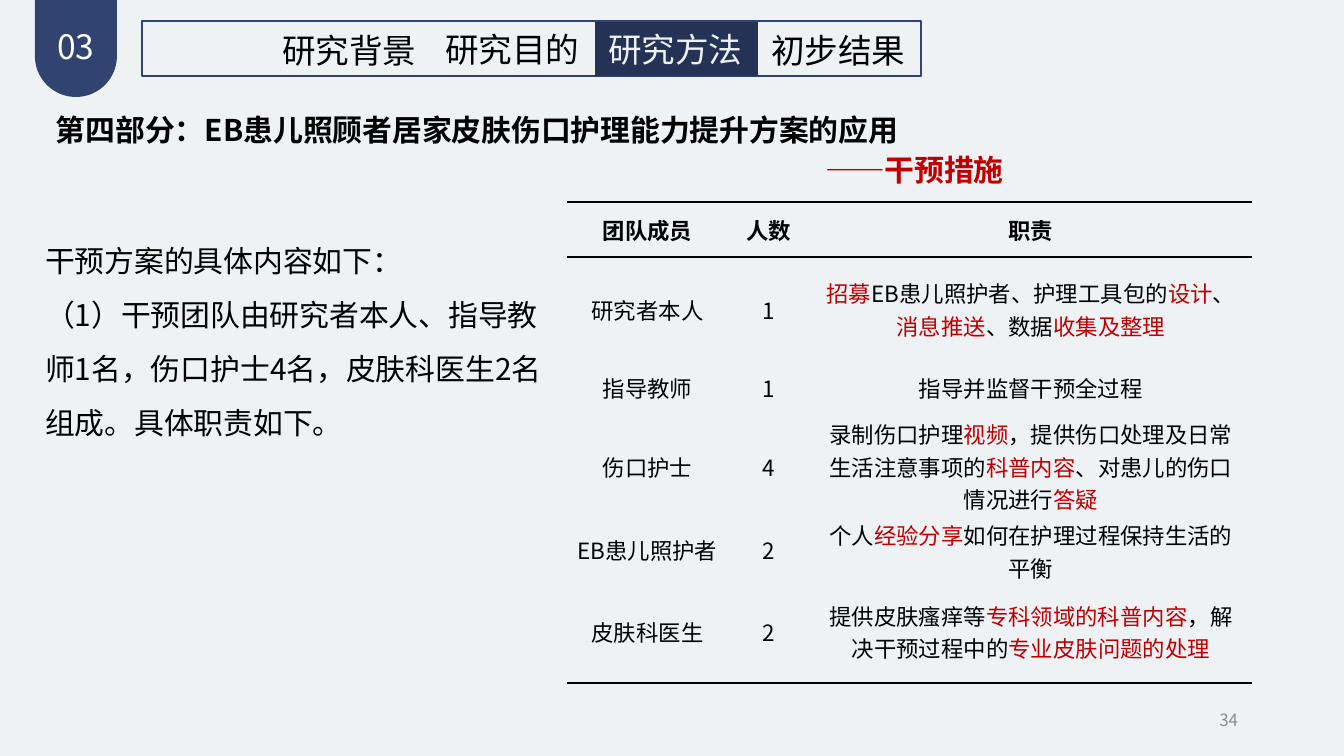
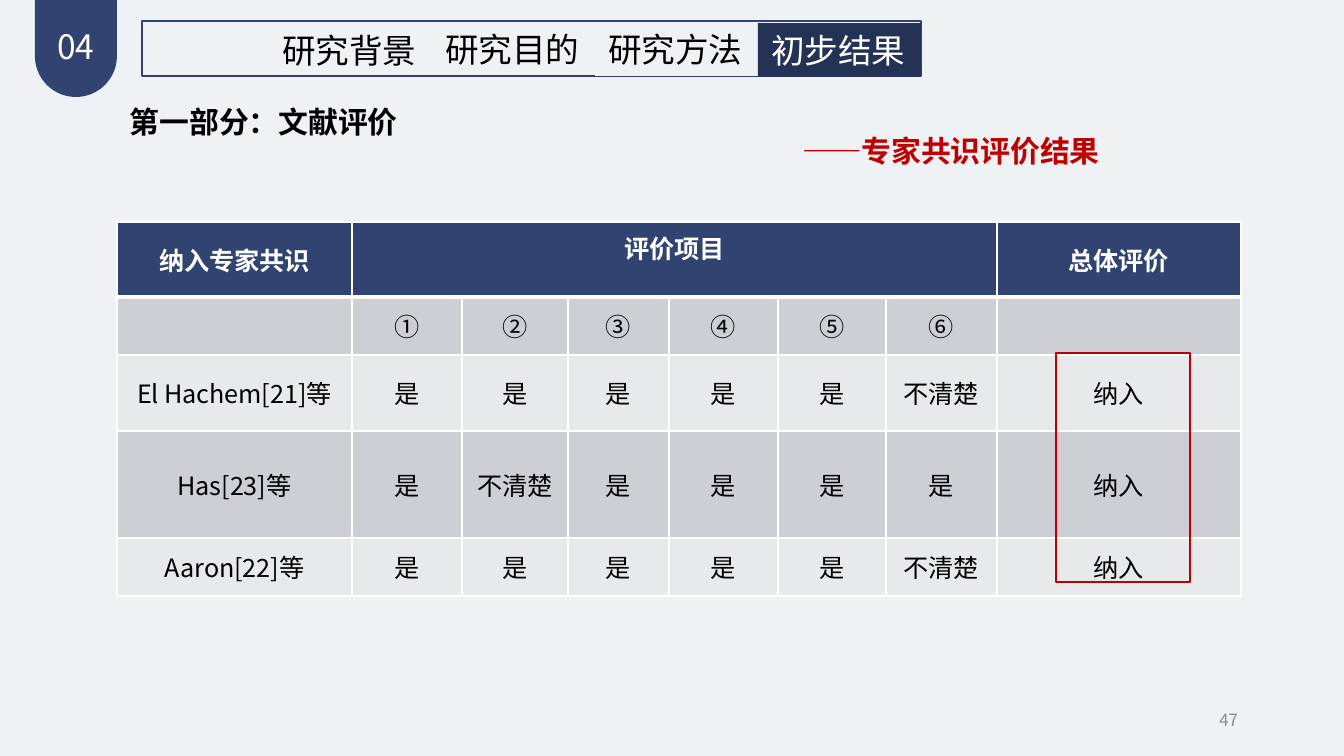
"""Build two thesis slides: an intervention team table and an appraisal table."""
import math

import pptx
import pptx.dml.color
import pptx.enum.shapes
import pptx.enum.text
import pptx.oxml.ns
import pptx.util
from lxml import etree

RGB = pptx.dml.color.RGBColor
ALIGN = pptx.enum.text.PP_ALIGN
ANCHOR = pptx.enum.text.MSO_ANCHOR
RECTANGLE = pptx.enum.shapes.MSO_SHAPE.RECTANGLE
qn = pptx.oxml.ns.qn

FONT = "Noto Sans CJK SC"
PAPER = RGB(0xEE, 0xF2, 0xF5)
NAVY = RGB(0x30, 0x43, 0x71)
DEEP_NAVY = RGB(0x24, 0x32, 0x55)
RED = RGB(0xC0, 0x00, 0x00)
BLACK = RGB(0x00, 0x00, 0x00)
RULE = RGB(0x00, 0x00, 0x08)
WHITE = RGB(0xFF, 0xFF, 0xFF)
GRAY = RGB(0x8C, 0x8C, 0x8C)
BAND_DARK = RGB(0xCD, 0xCF, 0xD5)
BAND_LIGHT = RGB(0xE8, 0xE9, 0xEB)

PX = 914400 / 134.4
SIDE, TOP = 13, 7
NO_STYLE = "{2D5ABB26-0587-4C30-8999-92F81FD0307C}"

TABS = ["研究背景", "研究目的", "研究方法", "初步结果"]
TAB_LEFT, TAB_WIDTH, TAB_HEIGHT = 269, 163, 54
TAB_TOPS = [23, 22, 22, 23]
FRAME = (142, 21, 779, 55)

TEAM_SLIDE = {
    "number": "03", "page": "34", "active": 2, "active_color": PAPER, "covered": [0],
    "title": ("第四部分：EB患儿照顾者居家皮肤伤口护理能力提升方案的应用", (43, 105, 935, 86)),
    "subtitle": ("——干预措施", (812, 145, 504, 50)),
}
BODY = [
    "干预方案的具体内容如下：",
    "（1）干预团队由研究者本人、指导教师1名，伤口护士4名，皮肤科医生2名组成。具体职责如下。",
]
BODY_BOX = (32, 181, 535, 410)
TEAM_ROWS = [
    ["团队成员", "人数", "职责"],
    ["研究者本人", "1", "|招募|EB患儿照护者、护理工具包的|设计|、|消息推送|、数据|收集及整理"],
    ["指导教师", "1", "指导并监督干预全过程"],
    ["伤口护士", "4", "录制伤口护理|视频|，提供伤口处理及日常生活注意事项的|科普内容|、对患儿的伤口情况进行|答疑"],
    ["EB患儿照护者", "2", "个人|经验分享|如何在护理过程保持生活的平衡"],
    ["皮肤科医生", "2", "提供皮肤瘙痒等|专科领域的科普内容|，解决干预过程中的|专业皮肤问题的处理"],
]
TEAM_GRID = {"corner": (567, 202), "widths": [161, 82, 442], "heights": [55, 105, 52, 105, 62, 102]}

REVIEW_SLIDE = {
    "number": "04", "page": "47", "active": 3, "active_color": WHITE, "covered": [0, 2],
    "title": ("第一部分：文献评价", (117, 97, 672, 50)),
    "subtitle": ("——专家共识评价结果", (789, 126, 504, 50)),
}
REVIEW_ROWS = [
    ["纳入专家共识", "评价项目", "", "", "", "", "", "总体评价"],
    ["", "①", "②", "③", "④", "⑤", "⑥", ""],
    ["El Hachem[21]等", "是", "是", "是", "是", "是", "不清楚", "纳入"],
    ["Has[23]等", "是", "不清楚", "是", "是", "是", "是", "纳入"],
    ["Aaron[22]等", "是", "是", "是", "是", "是", "不清楚", "纳入"],
]
REVIEW_GRID = {
    "corner": (117, 222),
    "widths": [235, 110, 106, 101, 109, 108, 111, 244],
    "heights": [75, 58, 76, 107, 58],
}
VERDICT_BOX = (1056, 353, 134, 229)


def px(length):
    return pptx.util.Emu(round(length * PX))


def apply(target, values):
    for name, value in values.items():
        setattr(target, name, value)


def write(para, text, size, color=BLACK, bold=False, align=ALIGN.LEFT):
    para.alignment = align
    for index, part in enumerate(text.split("|")):
        if not part:
            continue
        span = para.add_run()
        span.text = part
        apply(span.font, {"name": FONT, "size": pptx.util.Pt(size), "bold": bold})
        span.font.color.rgb = RED if index % 2 else color
        for tag in ("a:ea", "a:cs"):
            etree.SubElement(span.font._element, qn(tag)).set("typeface", FONT)


def set_frame(box, top=TOP, wrap=True, anchor=ANCHOR.TOP):
    apply(box.text_frame, {
        "margin_left": px(SIDE), "margin_right": px(SIDE),
        "margin_top": px(top), "margin_bottom": px(TOP),
        "word_wrap": wrap, "vertical_anchor": anchor,
    })
    return box.text_frame


def add_text(page, area, text, size, frame=None, **style):
    box = page.shapes.add_textbox(*map(px, area))
    write(set_frame(box, **(frame or {})).paragraphs[0], text, size, **style)


def add_rectangle(page, area, fill=None, line=None, weight=1):
    box = page.shapes.add_shape(RECTANGLE, *map(px, area))
    box.shadow.inherit = False
    if fill is None:
        box.fill.background()
    else:
        box.fill.solid()
        box.fill.fore_color.rgb = fill
    if line is None:
        box.line.fill.background()
    else:
        box.line.color.rgb = line
        box.line.width = pptx.util.Pt(weight)
    return box


def add_badge(page, number):
    left, right, bottom = 35, 117, 97
    radius = (right - left) / 2
    points = [(right, 0)]
    for step in range(41):
        angle = math.pi * step / 40
        points.append((left + radius * (1 + math.cos(angle)), bottom - radius * (1 - math.sin(angle))))
    builder = page.shapes.build_freeform(px(left), 0, scale=1.0)
    builder.add_line_segments([(px(x), px(y)) for x, y in points], close=True)
    badge = builder.convert_to_shape()
    badge.shadow.inherit = False
    badge.fill.solid()
    badge.fill.fore_color.rgb = NAVY
    badge.line.fill.background()
    add_text(page, (43, 19, 66, 54), number, 18, {"wrap": False}, color=WHITE, align=ALIGN.CENTER)


def add_tabs(page, content):
    for index, label in enumerate(TABS):
        area = (TAB_LEFT + index * TAB_WIDTH, TAB_TOPS[index], TAB_WIDTH, TAB_HEIGHT)
        active = index == content["active"]
        color = content["active_color"] if active else BLACK
        if active or index in content["covered"]:
            box = add_rectangle(page, area, DEEP_NAVY if active else PAPER)
            write(set_frame(box).paragraphs[0], label, 18, color)
        else:
            add_text(page, area, label, 18, color=color)
        if index == 0:
            add_rectangle(page, FRAME, line=NAVY, weight=1.5)


def add_page(deck, content):
    page = deck.slides.add_slide(deck.slide_layouts[6])
    page.background.fill.solid()
    page.background.fill.fore_color.rgb = PAPER
    add_badge(page, content["number"])
    add_tabs(page, content)
    for key, color in (("title", BLACK), ("subtitle", RED)):
        text, area = content[key]
        add_text(page, area, text, 16, color=color, bold=True)
    add_text(page, (949, 700, 302, 40), content["page"], 9, {"anchor": ANCHOR.MIDDLE},
             color=GRAY, align=ALIGN.RIGHT)
    return page


def add_grid(page, rows, grid):
    widths, heights = grid["widths"], grid["heights"]
    area = (*grid["corner"], sum(widths), sum(heights))
    table = page.shapes.add_table(len(rows), len(widths), *map(px, area)).table
    apply(table, {"first_row": False, "horz_banding": False})
    table._tbl.tblPr.find(qn("a:tableStyleId")).text = NO_STYLE
    for column, width in zip(table.columns, widths):
        column.width = px(width)
    for row, height in zip(table.rows, heights):
        row.height = px(height)
    return table


def set_cell(cell, text, size, color, bold, margins, borders, fill=None):
    apply(cell, dict(zip(("margin_left", "margin_right", "margin_top", "margin_bottom"), map(px, margins))))
    cell.vertical_anchor = ANCHOR.MIDDLE
    write(cell.text_frame.paragraphs[0], text, size, color, bold, ALIGN.CENTER)
    properties = cell._tc.get_or_add_tcPr()
    for side in "LRTB":
        line = etree.SubElement(properties, qn("a:ln" + side))
        if side in borders:
            line_color, weight = borders[side]
            line.set("w", str(int(pptx.util.Pt(weight))))
            paint = etree.SubElement(line, qn("a:solidFill"))
            etree.SubElement(paint, qn("a:srgbClr"), val=str(line_color))
        else:
            etree.SubElement(line, qn("a:noFill"))
    if fill is None:
        cell.fill.background()
    else:
        cell.fill.solid()
        cell.fill.fore_color.rgb = fill


def add_team_table(page):
    table = add_grid(page, TEAM_ROWS, TEAM_GRID)
    thick, thin = (RULE, 1.5), (RULE, 0.75)
    borders = {0: {"T": thick, "B": thin}, 1: {"T": thin}, len(TEAM_ROWS) - 1: {"B": thick}}
    for r, row in enumerate(TEAM_ROWS):
        for c, text in enumerate(row):
            set_cell(table.cell(r, c), text, 12, BLACK, r == 0, (9, 9, 0, 0), borders.get(r, {}))


def add_review_table(page):
    table = add_grid(page, REVIEW_ROWS, REVIEW_GRID)
    table.cell(0, 1).merge(table.cell(0, 6))
    for r, row in enumerate(REVIEW_ROWS):
        header = r == 0
        fill = NAVY if header else (BAND_DARK if r % 2 else BAND_LIGHT)
        borders = {side: (WHITE, 1) for side in "LRTB"}
        if header:
            borders["B"] = (WHITE, 3)
        if r == 1:
            borders["T"] = (WHITE, 3)
        for c, text in enumerate(row):
            bottom = 31 if header and c == 1 else 7
            set_cell(table.cell(r, c), text, 13.5, WHITE if header else BLACK, header,
                     (SIDE, SIDE, 7, bottom), borders, fill)


def add_body(page):
    box = page.shapes.add_textbox(*map(px, BODY_BOX))
    frame = set_frame(box, top=43)
    for index, text in enumerate(BODY):
        para = frame.add_paragraph() if index else frame.paragraphs[0]
        para.line_spacing = pptx.util.Pt(29)
        write(para, text, 16)


def main():
    deck = pptx.Presentation()
    apply(deck, {"slide_width": px(1344), "slide_height": px(756)})
    team_page = add_page(deck, TEAM_SLIDE)
    add_body(team_page)
    add_team_table(team_page)
    review_page = add_page(deck, REVIEW_SLIDE)
    add_review_table(review_page)
    add_rectangle(review_page, VERDICT_BOX, line=RED, weight=0.75)
    deck.save("out.pptx")


if __name__ == "__main__":
    main()
